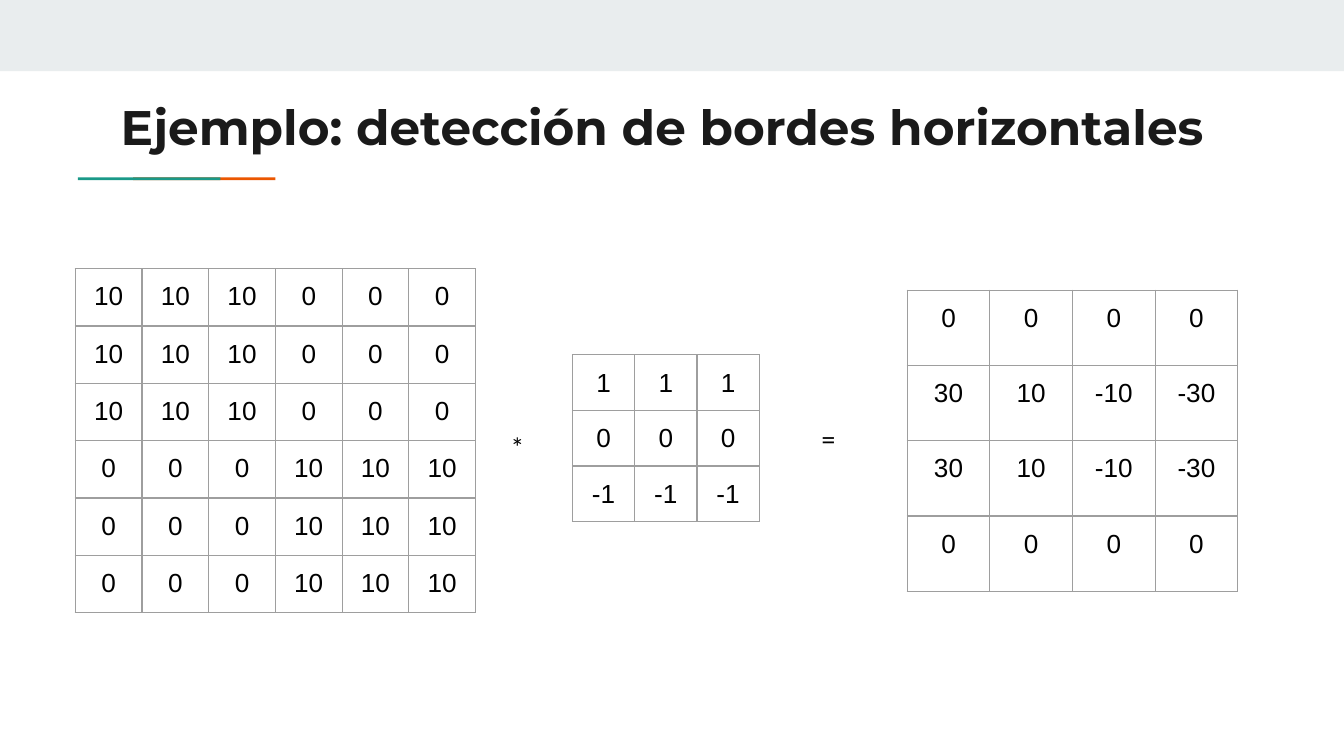
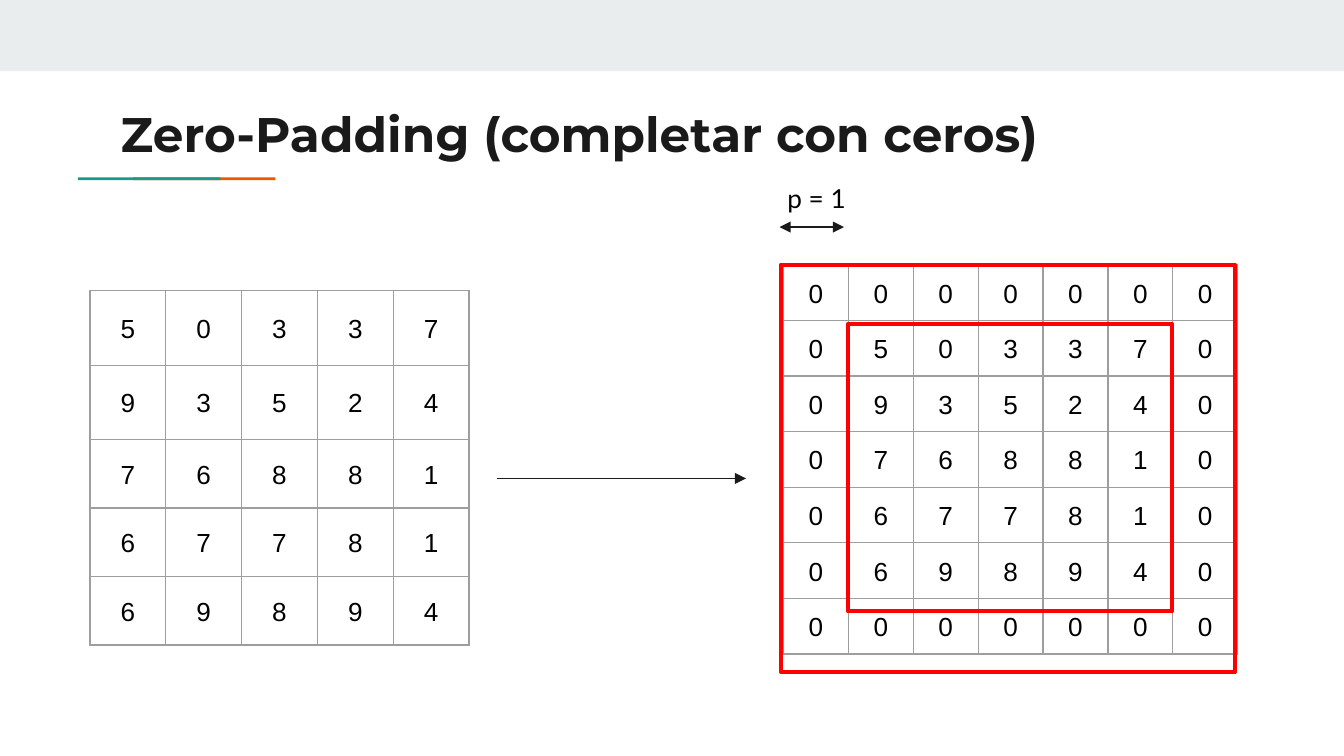
import pptx
import pptx.util
import pptx.dml.color
import pptx.enum.shapes
import pptx.enum.text
import pptx.oxml.ns
import lxml.etree

Inches = pptx.util.Inches
Pt = pptx.util.Pt
SHAPE = pptx.enum.shapes.MSO_SHAPE
ANCHOR = pptx.enum.text.MSO_ANCHOR
ALIGN = pptx.enum.text.PP_ALIGN


def color(code):
    return pptx.dml.color.RGBColor.from_string(code)


def child(node, tag, **attrs):
    return lxml.etree.SubElement(node, pptx.oxml.ns.qn(tag), attrs)


class Deck:
    BAND, TEAL, ORANGE = "E9EDEE", "1A9988", "EB5600"
    DARK, BLACK, GRID, RED = "1A1A1A", "000000", "9E9E9E", "FF0000"
    HEAD, BODY, CELL = "Montserrat", "Lato", "Arial"
    INSET = Inches(0.1)

    def __init__(self):
        self.file = pptx.Presentation()
        # Widescreen, 16 to 9
        self.file.slide_width = Inches(10)
        self.file.slide_height = Inches(10) * 9 // 16
        self.slide = None

    def page(self, title, top):
        """Start a slide with its band, accent rule and title."""
        self.slide = self.file.slides.add_slide(self.file.slide_layouts[6])
        self.box(0, 0, 10, 0.53, fill=self.BAND)
        self.box(0.99, 1.32, 1.06, 0.02, fill=self.ORANGE)
        self.box(0.58, 1.32, 1.06, 0.02, fill=self.TEAL)
        self.text(title, 0.8, top, 8.41, 0.59, self.HEAD, 26, self.DARK, True)

    def box(self, left, top, width, height, fill=None, line=None):
        shape = self.slide.shapes.add_shape(
            SHAPE.RECTANGLE, Inches(left), Inches(top), Inches(width), Inches(height))
        shape.shadow.inherit = False
        if fill:
            shape.fill.solid()
            shape.fill.fore_color.rgb = color(fill)
        else:
            shape.fill.background()
        if line:
            shape.line.color.rgb = color(line)
            shape.line.width = Pt(2.25)
        else:
            shape.line.fill.background()

    def style(self, par, font, size, tint, bold=False):
        for run in par.runs:
            run.font.name = font
            run.font.size = Pt(size)
            run.font.bold = bold
            run.font.color.rgb = color(tint)

    def text(self, words, left, top, width, height,
             font=BODY, size=14, tint=BLACK, bold=False):
        frame = self.slide.shapes.add_textbox(
            Inches(left), Inches(top), Inches(width), Inches(height)).text_frame
        frame.word_wrap = True
        frame.vertical_anchor = ANCHOR.TOP
        frame.margin_left = frame.margin_right = self.INSET
        frame.margin_top = frame.margin_bottom = self.INSET
        frame.text = words
        self.style(frame.paragraphs[0], font, size, tint, bold)

    def arrow(self, start, end, level, both=False):
        """Draw a level arrow, with a head at one end or both."""
        line = self.slide.shapes.add_connector(
            pptx.enum.shapes.MSO_CONNECTOR.STRAIGHT,
            Inches(start), Inches(level), Inches(end), Inches(level))
        line.line.color.rgb = color(self.DARK)
        line.line.width = Pt(0.75)
        edge = line.line._get_or_add_ln()
        if both:
            child(edge, "a:headEnd", type="triangle")
        child(edge, "a:tailEnd", type="triangle")
        child(line._element.spPr, "a:effectLst")

    def grid(self, rows, left, top, width, heights, anchor=ANCHOR.TOP):
        """Draw a matrix with equal columns and thin borders."""
        count = len(rows[0])
        table = self.slide.shapes.add_table(
            len(rows), count, Inches(left), Inches(top),
            Inches(width), Inches(sum(heights))).table
        table.first_row = table.horz_banding = False
        for col in table.columns:
            col.width = Inches(width / count)
        for row, height, values in zip(table.rows, heights, rows):
            row.height = Inches(height)
            for cell, value in zip(row.cells, values):
                self.cell(cell, value, anchor)

    def cell(self, cell, value, anchor):
        cell.text_frame.text = str(value)
        cell.vertical_anchor = anchor
        cell.margin_left = cell.margin_right = cell.margin_top = self.INSET
        # A tighter foot keeps the low rows from growing
        cell.margin_bottom = Inches(0.08)
        par = cell.text_frame.paragraphs[0]
        par.alignment = ALIGN.CENTER
        self.style(par, self.CELL, 14, self.BLACK)
        for side in "LRTB":
            edge = child(cell._tc.get_or_add_tcPr(), "a:ln" + side, w=str(Pt(0.75)))
            child(child(edge, "a:solidFill"), "a:srgbClr", val=self.GRID)
        cell.fill.background()


def edges(deck):
    """Horizontal edge detection: image * filter = result."""
    deck.page("Ejemplo: detección de bordes horizontales", 0.62)
    ten, zero = [10] * 3, [0] * 3
    image = [ten + zero] * 3 + [zero + ten] * 3
    kernel = [[1] * 3, [0] * 3, [-1] * 3]
    blank, edge = [0] * 4, [30, 10, -10, -30]
    deck.grid(kernel, 4.26, 2.64, 1.39, [0.36, 0.35, 0.35])
    deck.text("*", 3.71, 3.11, 0.29, 0.35)
    deck.text("=", 6.01, 3.05, 0.38, 0.48)
    deck.grid([blank, edge, edge, blank], 6.75, 2.16, 2.46, [0.56] * 4)
    deck.grid(image, 0.56, 2, 2.98, [2.56 / 6] * 6)


def padding(deck):
    """Zero padding: the image gains a ring of zeros."""
    deck.page("Zero-Padding (completar con ceros)", 0.67)
    image = [[5, 0, 3, 3, 7],
             [9, 3, 5, 2, 4],
             [7, 6, 8, 8, 1],
             [6, 7, 7, 8, 1],
             [6, 9, 8, 9, 4]]
    zeros = [[0] * 7]
    padded = zeros + [[0, *row, 0] for row in image] + zeros
    deck.grid(image, 0.67, 2.16, 2.82, [0.56, 0.55] + [0.51] * 3, ANCHOR.MIDDLE)
    deck.grid(padded, 5.83, 1.97, 3.38, [0.38] + [0.37] * 6, ANCHOR.MIDDLE)
    # Step to the padded image, and the padding width
    deck.arrow(3.7, 5.55, 3.56)
    deck.arrow(5.8, 6.28, 1.69, both=True)
    deck.text("p = 1", 5.76, 1.26, 1.39, 0.26)
    # Inner and outer frames
    deck.box(6.31, 2.41, 2.41, 2.14, line=deck.RED)
    deck.box(5.81, 1.97, 3.38, 3.03, line=deck.RED)


def main():
    deck = Deck()
    edges(deck)
    padding(deck)
    deck.file.save("out.pptx")


if __name__ == "__main__":
    main()
